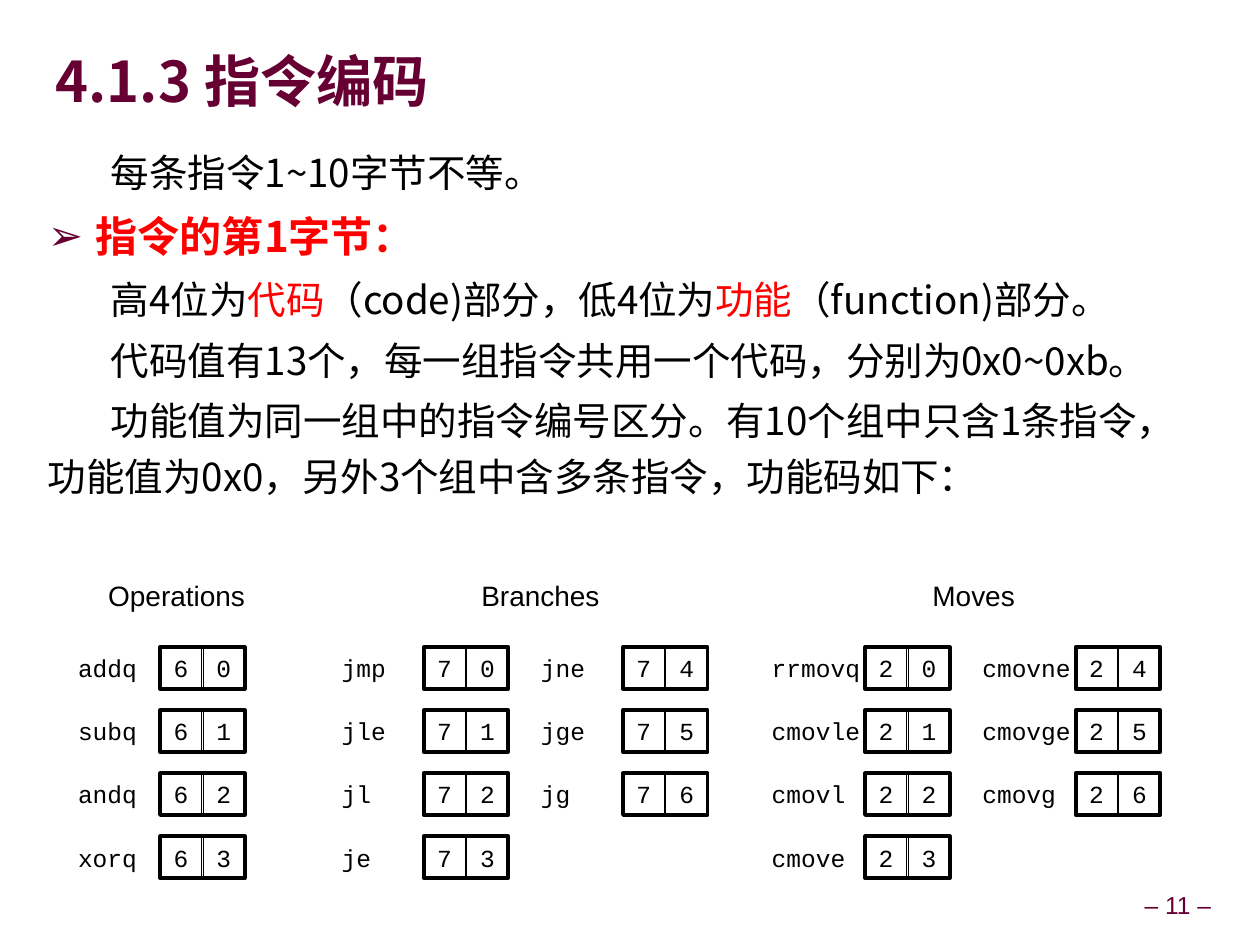
"""Build the slide on instruction encoding: explanation above, code/function boxes below."""
import pptx
import pptx.dml.color
import pptx.enum.shapes
import pptx.enum.text
import pptx.oxml.ns
import pptx.util
from lxml import etree

EMU_PER_PX = 9144
BLACK, WHITE, RED, WINE = "000000", "FFFFFF", "FF0000", "660033"
CJK, SANS, MONO = "Noto Sans CJK SC", "Arial", "Courier New"

HEADING = "4.1.3 指令编码"
EXPLANATION = [
    [("每条指令1~10字节不等。", BLACK)],
    [("指令的第1字节：", RED)],
    [("高4位为", BLACK), ("代码", RED), ("（code)部分，低4位为", BLACK),
     ("功能", RED), ("（function)部分。", BLACK)],
    [("代码值有13个，每一组指令共用一个代码，分别为0x0~0xb。", BLACK)],
    [("功能值为同一组中的指令编号区分。有10个组中只含1条指令，"
      "功能值为0x0，另外3个组中含多条指令，功能码如下：", BLACK)],
]
BULLETED = 1
PAGE_NUMBER = "– 11 –"

# Family: heading, heading left and width, wrapping, code, gap from name to code,
# columns (left, first function, names)
FAMILIES = [
    ("Operations", 44, 192, True, 6, 75, [(52, 0, ["addq", "subq", "andq", "xorq"])]),
    ("Branches", 368, 121, False, 7, 75, [(261, 0, ["jmp", "jle", "jl", "je"]),
                                          (419, 4, ["jne", "jge", "jg"])]),
    ("Moves", 727, 90, False, 2, 84, [(602, 0, ["rrmovq", "cmovle", "cmovl", "cmove"]),
                                      (769, 4, ["cmovne", "cmovge", "cmovg"])]),
]
ROW_TOP, ROW_PITCH, CELL, FRAME, NAME_WIDTH = 513, 50, 33, 67, 208
FAMILY_TOP, FAMILY_HEIGHT = 454, 37

MIDDLE = pptx.enum.text.MSO_ANCHOR.MIDDLE
LEFT, CENTER = pptx.enum.text.PP_ALIGN.LEFT, pptx.enum.text.PP_ALIGN.CENTER
FIXED = pptx.enum.text.MSO_AUTO_SIZE.NONE
GROWING = pptx.enum.text.MSO_AUTO_SIZE.SHAPE_TO_FIT_TEXT


def px(length):
    return pptx.util.Emu(length * EMU_PER_PX)


def rgb(value):
    return pptx.dml.color.RGBColor.from_string(value)


def add_run(paragraph, text, size, font, color=BLACK, bold=False):
    run = paragraph.add_run()
    run.text = text
    run.font.size = pptx.util.Pt(size)
    run.font.name = font
    run.font.bold = bold
    run.font.color.rgb = rgb(color)
    if font == CJK:
        east_asian = etree.SubElement(run.font._element, pptx.oxml.ns.qn("a:ea"))
        east_asian.set("typeface", font)


def place(part, left, top, width, height):
    part.left, part.top, part.width, part.height = map(px, (left, top, width, height))


def set_margins(frame, margin):
    frame.margin_left = frame.margin_right = px(margin)
    frame.margin_top = frame.margin_bottom = px(margin)


def set_bullet(properties, char=None):
    if char is None:
        etree.SubElement(properties, pptx.oxml.ns.qn("a:buNone"))
        return
    tint = etree.SubElement(properties, pptx.oxml.ns.qn("a:buClr"))
    etree.SubElement(tint, pptx.oxml.ns.qn("a:srgbClr")).set("val", WINE)
    etree.SubElement(properties, pptx.oxml.ns.qn("a:buChar")).set("char", char)


def add_box(shapes, left, top, width, fill=None, line=None, text=None, align=CENTER):
    box = shapes.add_shape(pptx.enum.shapes.MSO_SHAPE.RECTANGLE,
                           px(left), px(top), px(width), px(CELL))
    box.shadow.inherit = False
    if fill:
        box.fill.solid()
        box.fill.fore_color.rgb = rgb(fill)
    else:
        box.fill.background()
    if line:
        box.line.color.rgb = rgb(BLACK)
        box.line.width = pptx.util.Pt(line)
    else:
        box.line.fill.background()
    if text:
        box.text_frame.word_wrap = False
        box.text_frame.vertical_anchor = MIDDLE
        paragraph = box.text_frame.paragraphs[0]
        paragraph.alignment = align
        add_run(paragraph, text, 14, MONO)


def add_instruction(slide, left, top, gap, name, code, function):
    shapes = slide.shapes.add_group_shape().shapes
    add_box(shapes, left, top, NAME_WIDTH, fill=WHITE, text=name, align=LEFT)
    code_left = left + gap
    function_left = code_left + FRAME - CELL
    for digit_left, digit in ((code_left, code), (function_left, function)):
        add_box(shapes, digit_left, top, CELL, WHITE, 0.5, str(digit))
    add_box(shapes, code_left, top, FRAME, line=2.25)


def add_caption(slide, text, bounds, size, color=BLACK, wrap=False):
    caption = slide.shapes.add_textbox(*map(px, bounds))
    caption.text_frame.word_wrap = wrap
    caption.text_frame.auto_size = GROWING
    paragraph = caption.text_frame.paragraphs[0]
    paragraph.alignment = CENTER
    add_run(paragraph, text, size, SANS, color)
    return caption.text_frame


def fill_heading(heading):
    place(heading, 44, 27, 930, 81)
    frame = heading.text_frame
    frame.auto_size = FIXED
    frame.vertical_anchor = MIDDLE
    set_margins(frame, 0)
    paragraph = frame.paragraphs[0]
    paragraph.alignment = LEFT
    paragraph.line_spacing = 0.87
    add_run(paragraph, HEADING, 32, CJK, WINE, True)


def fill_explanation(explanation):
    place(explanation, 28, 106, 934, 585)
    frame = explanation.text_frame
    frame.auto_size = FIXED
    frame.vertical_anchor = pptx.enum.text.MSO_ANCHOR.TOP
    for index, pieces in enumerate(EXPLANATION):
        paragraph = frame.paragraphs[0] if index == 0 else frame.add_paragraph()
        paragraph.alignment = LEFT
        paragraph.line_spacing = 1.2
        paragraph.space_before = pptx.util.Pt(3)
        bulleted = index == BULLETED
        margin, indent = (38, -38) if bulleted else (0, 50)
        properties = paragraph._p.get_or_add_pPr()
        properties.set("marL", str(px(margin)))
        properties.set("indent", str(px(indent)))
        properties.set("hangingPunct", "0")
        set_bullet(properties, "➢" if bulleted else None)
        for text, color in pieces:
            add_run(paragraph, text, 24 if bulleted else 22, CJK, color, bulleted)


def main():
    deck = pptx.Presentation()
    deck.slide_width, deck.slide_height = px(999), px(749)
    slide = deck.slides.add_slide(deck.slide_layouts[1])
    fill_heading(slide.shapes.title)
    fill_explanation(slide.placeholders[1])
    for family, left, width, wrap, code, gap, columns in FAMILIES:
        for column_left, first_function, names in columns:
            for row, name in enumerate(names):
                add_instruction(slide, column_left, ROW_TOP + row * ROW_PITCH, gap,
                                name, code, first_function + row)
        add_caption(slide, family, (left, FAMILY_TOP, width, FAMILY_HEIGHT), 16, wrap=wrap)
    page = add_caption(slide, PAGE_NUMBER, (901, 703, 66, 31), 14, WINE)
    page.vertical_anchor = MIDDLE
    page.paragraphs[0].line_spacing = 0.9
    set_margins(page, 5)
    deck.save("out.pptx")


if __name__ == "__main__":
    main()
